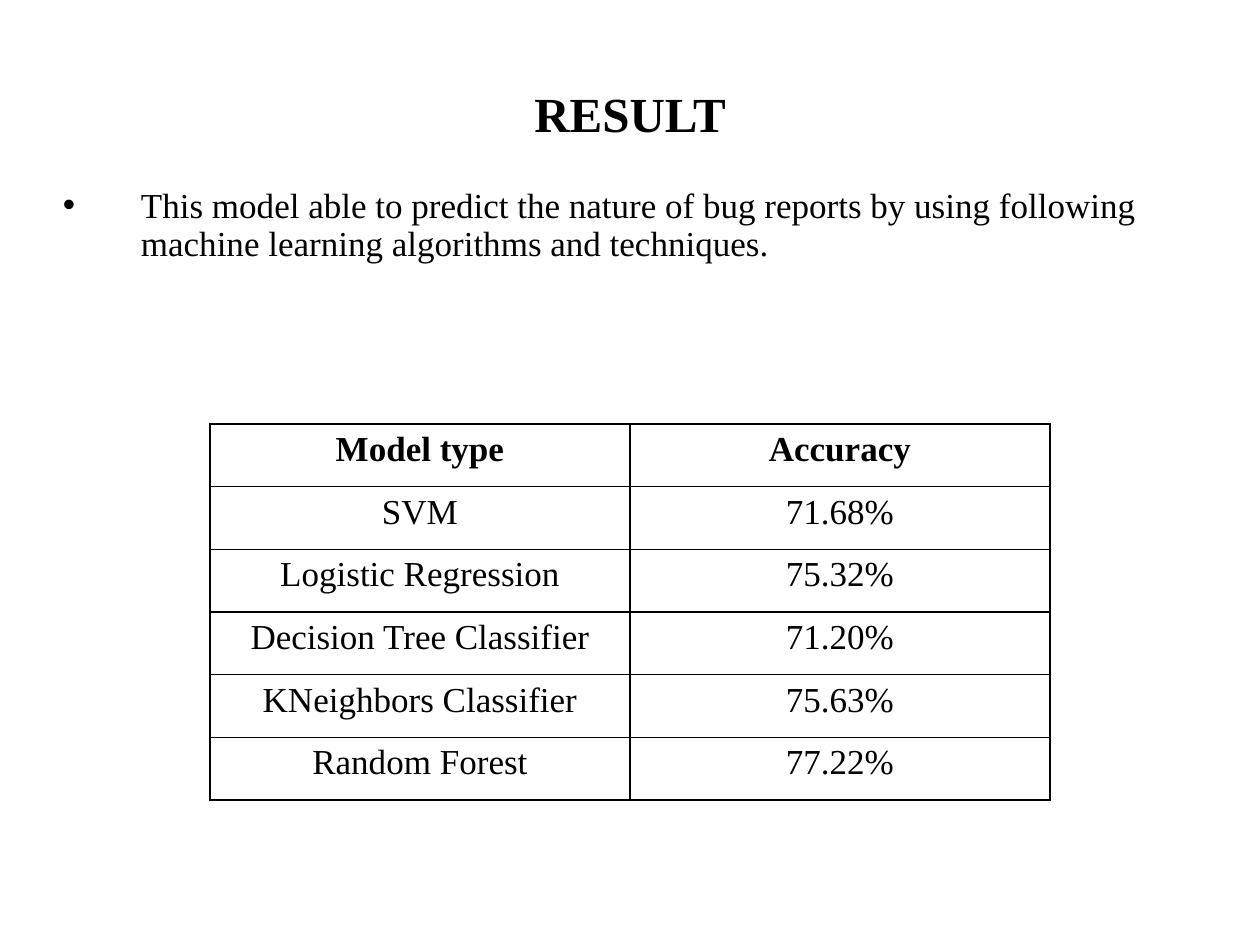
from lxml import etree
from pptx import Presentation
from pptx.dml.color import RGBColor
from pptx.enum.text import MSO_ANCHOR, PP_ALIGN
from pptx.oxml.ns import qn
from pptx.util import Emu, Pt

CENTER = PP_ALIGN.CENTER
LEFT = PP_ALIGN.LEFT
MIDDLE = MSO_ANCHOR.MIDDLE
TOP = MSO_ANCHOR.TOP

BLACK = RGBColor(0x00, 0x00, 0x00)
FONT = "Times New Roman"
PX_PER_INCH = 126
BULLET_INDENT = 78

INTRO = ("This model able to predict the nature of bug reports by using "
         "following machine learning algorithms and techniques.")
RESULTS = [
    ("Model type", "Accuracy"),
    ("SVM", "71.68%"),
    ("Logistic Regression", "75.32%"),
    ("Decision Tree Classifier", "71.20%"),
    ("KNeighbors Classifier", "75.63%"),
    ("Random Forest", "77.22%"),
]


def px(length):
    return Emu(round(length * 914400 / PX_PER_INCH))


def write(text_frame, text, size, alignment, bold=False):
    text_frame.text = text
    paragraph = text_frame.paragraphs[0]
    paragraph.alignment = alignment
    font = paragraph.runs[0].font
    font.name = FONT
    font.size = Pt(size)
    font.bold = bold
    font.color.rgb = BLACK
    return paragraph


def clear_margins(text_frame):
    text_frame.margin_left = text_frame.margin_right = 0
    text_frame.margin_top = text_frame.margin_bottom = 0


def set_title(slide, text):
    title = slide.shapes.title
    title.left, title.top, title.width, title.height = map(px, (63, 38, 1134, 157))
    text_frame = title.text_frame
    clear_margins(text_frame)
    text_frame.vertical_anchor = MIDDLE
    write(text_frame, text, 28, CENTER, bold=True).line_spacing = 0.9


def add_bullet(slide, text):
    box = slide.shapes.add_textbox(px(63), px(188), px(1134), px(80))
    text_frame = box.text_frame
    text_frame.word_wrap = True
    text_frame.vertical_anchor = TOP
    clear_margins(text_frame)
    paragraph = write(text_frame, text, 20, LEFT)
    paragraph.line_spacing = 0.9
    properties = paragraph._p.get_or_add_pPr()
    properties.set("marL", str(px(BULLET_INDENT)))
    properties.set("indent", str(-px(BULLET_INDENT)))
    etree.SubElement(properties, qn("a:buFont"), typeface="Arial")
    etree.SubElement(properties, qn("a:buChar"), char="•")


def add_borders(cell):
    properties = cell._tc.get_or_add_tcPr()
    for index, side in enumerate(("a:lnL", "a:lnR", "a:lnT", "a:lnB")):
        line = etree.Element(qn(side), w=str(Pt(1)))
        fill = etree.SubElement(line, qn("a:solidFill"))
        etree.SubElement(fill, qn("a:srgbClr"), val=str(BLACK))
        properties.insert(index, line)


def add_results_table(slide, rows):
    frame = slide.shapes.add_table(len(rows), len(rows[0]),
                                   px(210), px(424), px(840), px(376))
    table = frame.table
    table.horz_banding = False
    for row_index, row in enumerate(rows):
        for column_index, text in enumerate(row):
            cell = table.cell(row_index, column_index)
            cell.fill.background()
            write(cell.text_frame, text, 20, CENTER, bold=row_index == 0)
            add_borders(cell)


def main():
    presentation = Presentation()
    presentation.slide_width = px(1260)
    presentation.slide_height = px(945)
    title_only = presentation.slide_layouts[5]
    slide = presentation.slides.add_slide(title_only)
    set_title(slide, "RESULT")
    add_bullet(slide, INTRO)
    add_results_table(slide, RESULTS)
    presentation.save("out.pptx")


if __name__ == "__main__":
    main()
